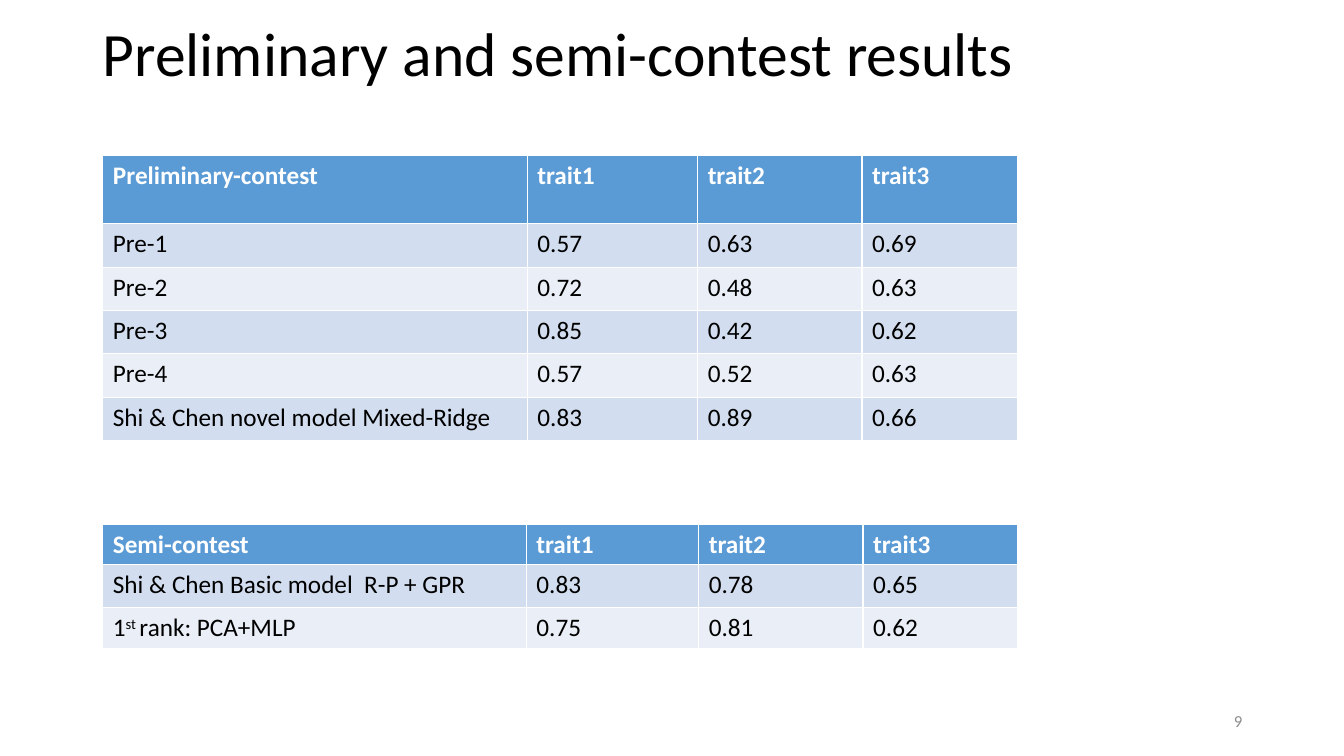
from dataclasses import dataclass

from pptx import Presentation
from pptx import util as u
from pptx.dml.color import RGBColor
from pptx.enum import text

# Content
TITLE = "Preliminary and semi-contest results"
PAGE_NUMBER = "9"
TRAITS = ("trait1", "trait2", "trait3")
SUPERSCRIPTS = {"1st rank: PCA+MLP": ("1", "st ", "rank: PCA+MLP")}

CONTESTS = [
    {
        "name": "Preliminary-contest",
        "top": 1.54,
        "columns": (4.21, 1.69, 1.63, 1.54),
        "rows": (0.68, 0.43, 0.43, 0.43, 0.43, 0.43),
        "scores": [
            ("Pre-1", 0.57, 0.63, 0.69),
            ("Pre-2", 0.72, 0.48, 0.63),
            ("Pre-3", 0.85, 0.42, 0.62),
            ("Pre-4", 0.57, 0.52, 0.63),
            ("Shi & Chen novel model Mixed-Ridge", 0.83, 0.89, 0.66),
        ],
    },
    {
        "name": "Semi-contest",
        "top": 5.2,
        "columns": (4.2, 1.71, 1.63, 1.53),
        "rows": (0.4, 0.43, 0.4),
        "scores": [
            ("Shi & Chen Basic model  R-P + GPR", 0.83, 0.78, 0.65),
            ("1st rank: PCA+MLP", 0.75, 0.81, 0.62),
        ],
    },
]


@dataclass(frozen=True)
class Theme:
    font: str = "Calibri"
    title_size: int = 44
    table_size: int = 18
    number_size: int = 12
    ink: str = "000000"
    white: str = "FFFFFF"
    muted: str = "8C8C8C"
    header: str = "5B9BD5"
    bands: tuple = ("D2DEEF", "EAEFF7")


THEME = Theme()
TABLE_LEFT = 1.02


def style_runs(para, size, color, bold=False):
    for span in para.runs:
        span.font.name = THEME.font
        span.font.size = u.Pt(size)
        span.font.bold = bold
        span.font.color.rgb = RGBColor.from_string(color)


def add_label(page, area, words, size, color, align, spacing=1.0):
    box = page.shapes.add_textbox(*map(u.Inches, area))
    frame = box.text_frame
    frame.word_wrap = True
    frame.vertical_anchor = text.MSO_ANCHOR.MIDDLE
    frame.text = words
    para = frame.paragraphs[0]
    para.alignment = align
    para.line_spacing = spacing
    style_runs(para, size, color)


def fill_cell(cell, words, fill, color, bold):
    cell.fill.solid()
    cell.fill.fore_color.rgb = RGBColor.from_string(fill)
    para = cell.text_frame.paragraphs[0]
    if words in SUPERSCRIPTS:
        for part in SUPERSCRIPTS[words]:
            para.add_run().text = part
        para.runs[1]._r.get_or_add_rPr().set("baseline", "30000")
    else:
        para.text = words
    style_runs(para, THEME.table_size, color, bold)


def add_contest(page, contest):
    columns, rows = contest["columns"], contest["rows"]
    area = (TABLE_LEFT, contest["top"], sum(columns), sum(rows))
    table = page.shapes.add_table(len(rows), len(columns), *map(u.Inches, area)).table
    for column, width in zip(table.columns, columns):
        column.width = u.Inches(width)
    for row, height in zip(table.rows, rows):
        row.height = u.Inches(height)

    # Header row, then alternating bands
    lines = [(contest["name"], *TRAITS)]
    lines += [(name, *(f"{score:.2f}" for score in scores))
              for name, *scores in contest["scores"]]
    for r, line in enumerate(lines):
        is_header = r == 0
        fill = THEME.header if is_header else THEME.bands[(r - 1) % 2]
        color = THEME.white if is_header else THEME.ink
        for c, words in enumerate(line):
            fill_cell(table.cell(r, c), words, fill, color, is_header)


def main():
    deck = Presentation()
    deck.slide_width, deck.slide_height = u.Inches(13.33), u.Inches(7.5)
    page = deck.slides.add_slide(deck.slide_layouts[6])

    # Title and page number
    add_label(page, (0.92, -0.16, 11.5, 1.45), TITLE, THEME.title_size,
              THEME.ink, text.PP_ALIGN.LEFT, 0.9)
    add_label(page, (9.42, 6.95, 3, 0.4), PAGE_NUMBER, THEME.number_size,
              THEME.muted, text.PP_ALIGN.RIGHT)

    # Result tables
    for contest in CONTESTS:
        add_contest(page, contest)
    deck.save("out.pptx")


if __name__ == "__main__":
    main()
